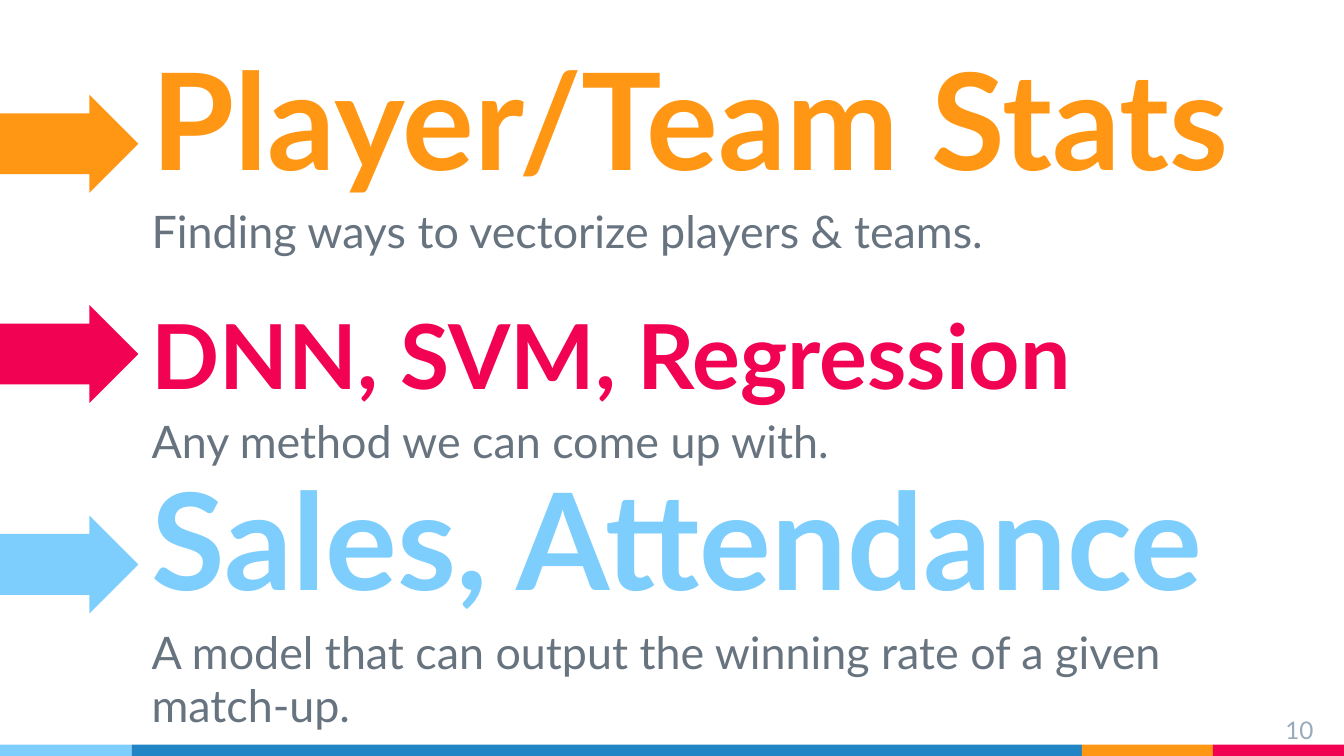
from pptx import Presentation
from pptx.dml.color import RGBColor
from pptx.enum.shapes import MSO_SHAPE
from pptx.enum.text import MSO_ANCHOR, PP_ALIGN
from pptx.util import Pt

PX = 4572  # EMU per px, 200 px to the inch
WIDTH, HEIGHT = 2000, 1125
INSET = 20
FONT = "Lato"

ORANGE = RGBColor(0xFF, 0x97, 0x15)
PINK = RGBColor(0xF2, 0x02, 0x53)
SKY = RGBColor(0x7E, 0xCE, 0xFD)
BLUE = RGBColor(0x21, 0x85, 0xC5)
SLATE = RGBColor(0x67, 0x74, 0x80)
MIST = RGBColor(0x97, 0xAB, 0xBC)

RECTANGLE, RIGHT_ARROW = MSO_SHAPE.RECTANGLE, MSO_SHAPE.RIGHT_ARROW
TOP, BOTTOM = MSO_ANCHOR.TOP, MSO_ANCHOR.BOTTOM
LEFT, RIGHT = PP_ALIGN.LEFT, PP_ALIGN.RIGHT

# Heading, heading size, heading width, description, description height, colour
TOPICS = [
    ("Player/Team Stats", 72, 1718,
     "Finding ways to vectorize players & teams.", 102, ORANGE),
    ("DNN, SVM, Regression", 48, 1644,
     "Any method we can come up with.", 102, PINK),
    ("Sales, Attendance", 72, 1644,
     "A model that can output the winning rate of a given match-up.", 196, SKY),
]
TOPIC_TOP, TOPIC_PITCH = 117, 313


def emu(*lengths):
    return [length * PX for length in lengths]


def add_filled(page, kind, box, color):
    shape = page.shapes.add_shape(kind, *emu(*box))
    shape.shadow.inherit = False
    shape.fill.solid()
    shape.fill.fore_color.rgb = color
    shape.line.fill.background()
    return shape


def add_text(page, box, text, size, color, bold=False, anchor=TOP,
             align=LEFT, space_before=0):
    frame = page.shapes.add_textbox(*emu(*box)).text_frame
    frame.word_wrap = True
    frame.vertical_anchor = anchor
    frame.margin_left = frame.margin_right = INSET * PX
    frame.margin_top = frame.margin_bottom = INSET * PX
    para = frame.paragraphs[0]
    para.alignment = align
    para.space_before = Pt(space_before)
    span = para.add_run()
    span.text = text
    span.font.name = FONT
    span.font.size = Pt(size)
    span.font.bold = bold
    span.font.color.rgb = color


def add_footer(page, left, top, width, height):
    # Colour bar
    edges = [0, 196, 1610, 1805, width]
    for start, end, color in zip(edges, edges[1:], (SKY, BLUE, ORANGE, PINK)):
        add_filled(page, RECTANGLE, (left + start, top, end - start, height), color)
    # Page number
    add_text(page, (left + 1854, top - 64, 120, 68), "10", 13, MIST, align=RIGHT)


def add_topic(page, left, top, topic):
    heading, size, width, description, description_height, color = topic
    text_left = left + 206
    add_text(page, (text_left, top, width, 196), heading, size, color,
             bold=True, anchor=BOTTOM)
    add_text(page, (text_left, top + 166, 1644, description_height),
             description, 24, SLATE, space_before=6)
    arrow = add_filled(page, RIGHT_ARROW, (left, top + 24, 206, 146), color)
    arrow.adjustments[0] = 0.62
    arrow.adjustments[1] = 0.5


def main():
    deck = Presentation()
    deck.slide_width, deck.slide_height = emu(WIDTH, HEIGHT)
    page = deck.slides.add_slide(deck.slide_layouts[6])
    add_footer(page, 0, HEIGHT - 17, WIDTH, 17)
    for index, topic in enumerate(TOPICS):
        add_topic(page, 0, TOPIC_TOP + index * TOPIC_PITCH, topic)
    deck.save("out.pptx")


if __name__ == "__main__":
    main()
